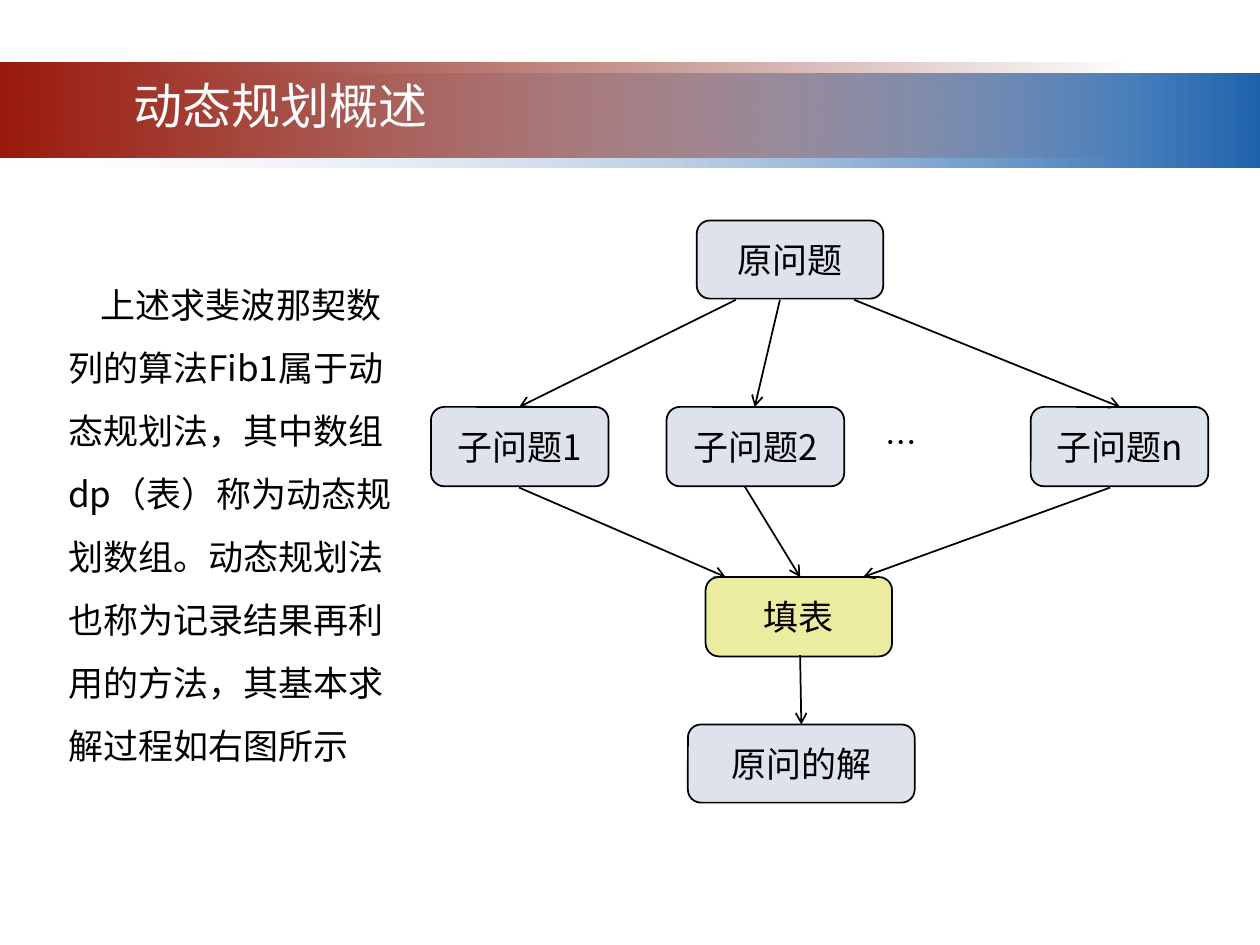
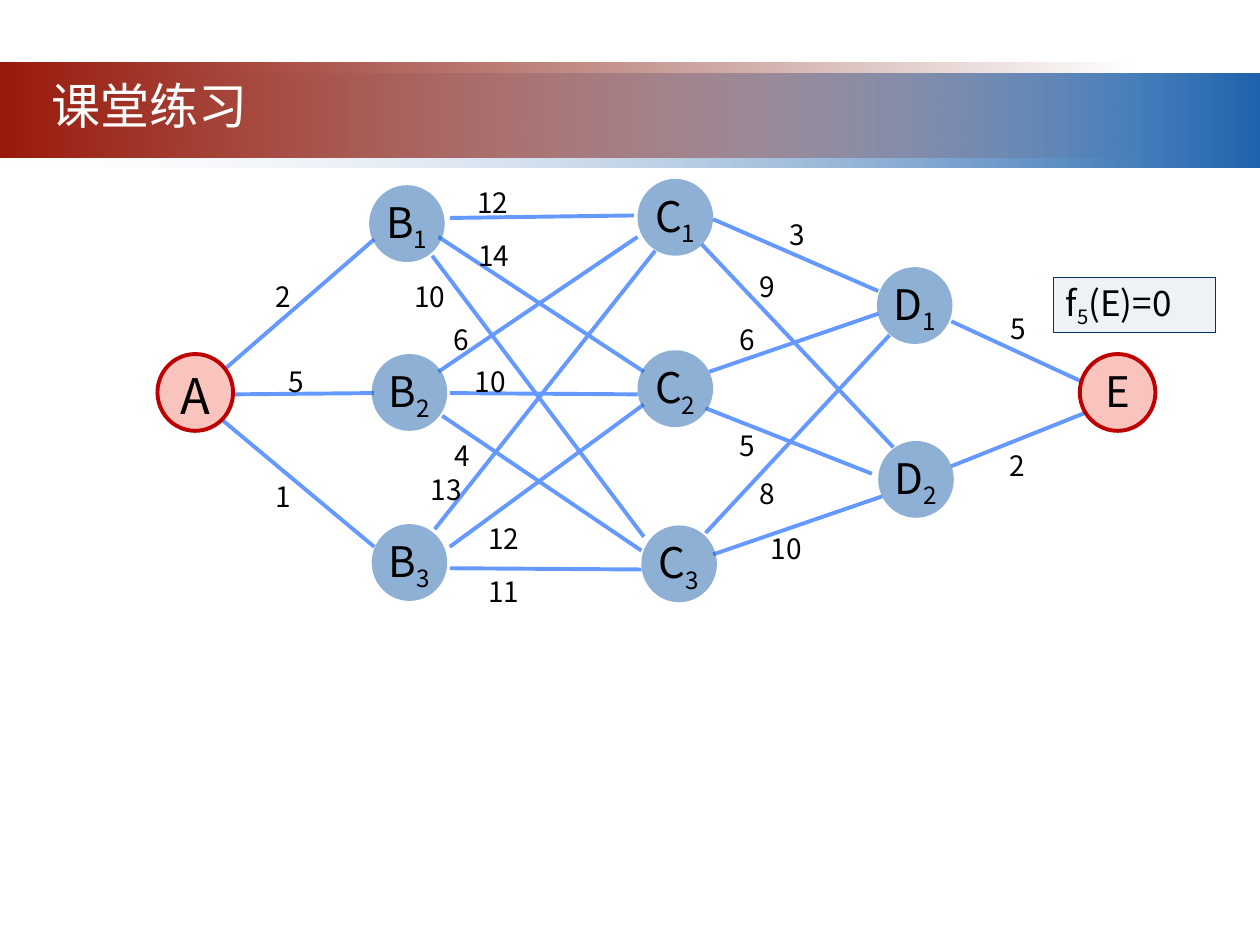
from lxml import etree
from pptx import Presentation
from pptx import util as u
from pptx.dml.color import RGBColor
from pptx.enum import shapes, text
from pptx.oxml.ns import qn

FONT = "Noto Sans CJK SC"
BLACK = RGBColor(0x00, 0x00, 0x00)
WHITE = RGBColor(0xFF, 0xFF, 0xFF)
MIST = RGBColor(0xF1, 0xF2, 0xF7)
BLUE = RGBColor(0x1F, 0x63, 0xAD)
RED = RGBColor(0x99, 0x19, 0x0B)
DARK_RED = RGBColor(0x6D, 0x12, 0x08)
PROBLEM = RGBColor(0xDD, 0xE2, 0xED)
TABLE = RGBColor(0xCC, 0xCC, 0x00)
EDGE = RGBColor(0x66, 0x99, 0xFF)
TERMINAL = RGBColor(0xFA, 0xC4, 0xBE)
TERMINAL_RIM = RGBColor(0xC0, 0x00, 0x00)
FORMULA = RGBColor(0xEE, 0xF1, 0xF6)
FORMULA_RIM = RGBColor(0x00, 0x33, 0x66)

COLUMNS, ROWS = 10, 7.5
LEFT, CENTER = text.PP_ALIGN.LEFT, text.PP_ALIGN.CENTER
TOP, MIDDLE = text.MSO_ANCHOR.TOP, text.MSO_ANCHOR.MIDDLE
BOX = shapes.MSO_SHAPE.ROUNDED_RECTANGLE
CIRCLE = shapes.MSO_SHAPE.OVAL
RECTANGLE = shapes.MSO_SHAPE.RECTANGLE


class Deck:
    def __init__(self):
        self.prs = Presentation()
        self.prs.slide_width = u.Inches(10)
        self.prs.slide_height = u.Inches(7.5)
        self.slide = None

    def x(self, columns):
        return round(self.prs.slide_width * columns / COLUMNS)

    def y(self, rows):
        return round(self.prs.slide_height * rows / ROWS)

    def area(self, left, top, width, height):
        return self.x(left), self.y(top), self.x(width), self.y(height)

    def new_slide(self, layout, title, align):
        self.slide = self.prs.slides.add_slide(self.prs.slide_layouts[layout])
        heading = self.slide.shapes.title
        self.place(heading, (0.31, 0.55, 3.83, 0.57))
        self.set_words(heading, [title], 28, WHITE, align)

    def place(self, holder, area):
        holder.left, holder.top, holder.width, holder.height = self.area(*area)

    def set_words(self, shape, parts, size, color=BLACK, align=CENTER, anchor=TOP, inset=True):
        frame = shape.text_frame
        frame.text = parts[0]
        frame.word_wrap = True
        frame.auto_size = text.MSO_AUTO_SIZE.NONE
        frame.vertical_anchor = anchor
        if not inset:
            frame.margin_left = frame.margin_right = 0
            frame.margin_top = frame.margin_bottom = 0
        paragraph = frame.paragraphs[0]
        paragraph.alignment = align
        paragraph.space_before = u.Pt(0)
        for part in parts[1:]:
            paragraph.add_run().text = part
        for order, run in enumerate(paragraph.runs):
            run.font.size = u.Pt(size)
            run.font.color.rgb = color
            run.font.name = FONT
            properties = run._r.get_or_add_rPr()
            etree.SubElement(properties, qn("a:ea")).set("typeface", FONT)
            if order % 2:
                properties.set("baseline", "-25000")

    def body(self, words, area, first_indent):
        holder = self.slide.placeholders[1]
        self.place(holder, area)
        self.set_words(holder, [words], 20, align=LEFT)
        paragraph = holder.text_frame.paragraphs[0]
        paragraph.line_spacing = 1.5
        properties = paragraph._p.get_or_add_pPr()
        properties.set("marL", "0")
        properties.set("indent", str(self.x(first_indent)))
        etree.SubElement(properties, qn("a:buNone"))

    def label(self, words, area, size, **style):
        box = self.slide.shapes.add_textbox(*self.area(*area))
        self.set_words(box, [words], size, **style)

    def opacity(self, color_element, percent):
        etree.SubElement(color_element, qn("a:alpha")).set("val", str(percent * 1000))

    def shape(self, kind, area, fill, rim=None, weight=1, alpha=100):
        figure = self.slide.shapes.add_shape(kind, *self.area(*area))
        figure.shadow.inherit = False
        figure.fill.solid()
        figure.fill.fore_color.rgb = fill
        if alpha < 100:
            self.opacity(next(figure.element.iter(qn("a:srgbClr"))), alpha)
        if rim is None:
            figure.line.fill.background()
        else:
            figure.line.color.rgb = rim
            figure.line.width = u.Pt(weight)
        return figure

    def master_band(self, order, area, colors, clear_end):
        band = self.shape(RECTANGLE, area, colors[0])
        band.fill.gradient()
        band.fill.gradient_angle = 0
        for stop, color in zip(band.fill.gradient_stops, colors):
            stop.color.rgb = color
        self.opacity(list(band.element.iter(qn("a:srgbClr")))[clear_end], 0)
        self.prs.slide_master.shapes.element.insert(2 + order, band.element)

    def line(self, start, end, color, weight, arrow=False):
        link = self.slide.shapes.add_connector(
            shapes.MSO_CONNECTOR.STRAIGHT,
            self.x(start[0]), self.y(start[1]), self.x(end[0]), self.y(end[1]))
        link.line.color.rgb = color
        link.line.width = u.Pt(weight)
        if arrow:
            outline = next(link.element.iter(qn("a:ln")))
            etree.SubElement(outline, qn("a:tailEnd")).set("type", "arrow")
        etree.SubElement(link.element.spPr, qn("a:effectLst"))

    def step(self, words, area, fill=PROBLEM, alpha=100):
        box = self.shape(BOX, area, fill, BLACK, alpha=alpha)
        self.set_words(box, [words], 20, anchor=MIDDLE)

    def node(self, name, left, top, size=24, terminal=False):
        area = (left, top, 0.6, 0.61)
        if terminal:
            circle = self.shape(CIRCLE, area, TERMINAL, TERMINAL_RIM, 2.25)
        else:
            circle = self.shape(CIRCLE, area, BLUE, alpha=50)
        self.set_words(circle, name, size, inset=False)


def overview(deck):
    deck.new_slide(1, "动态规划概述", CENTER)
    deck.master_band(0, (0, 0.58, 10, 0.75), (MIST, BLUE), 0)
    deck.master_band(1, (0, 0.5, 9, 0.75), (RED, DARK_RED), 1)
    deck.body("上述求斐波那契数列的算法Fib1属于动态规划法，其中数组dp（表）称为动态规划数组。"
              "动态规划法也称为记录结果再利用的方法，其基本求解过程如右图所示",
              (0.44, 2.03, 2.87, 4.06), 0.26)

    deck.step("原问题", (5.53, 1.75, 1.48, 0.62))
    for suffix, left in (("1", 3.42), ("2", 5.29), ("n", 8.18)):
        deck.step("子问题" + suffix, (left, 3.23, 1.41, 0.63))
    deck.label("…", (6.93, 3.31, 1.09, 0.4), 18, align=LEFT)
    deck.step("填表", (5.6, 4.58, 1.48, 0.63), TABLE, 37)
    deck.step("原问的解", (5.46, 5.75, 1.8, 0.62))

    divide = [((5.84, 2.38), (4.12, 3.23)), ((6.19, 2.38), (5.99, 3.23)),
              ((6.78, 2.38), (8.89, 3.23))]
    record = [((4.12, 3.87), (5.76, 4.58)), ((5.91, 3.86), (6.35, 4.58)),
              ((8.81, 3.87), (6.85, 4.58))]
    solve = [((6.35, 5.2), (6.36, 5.75))]
    for start, end in divide + record + solve:
        deck.line(start, end, BLACK, 1, arrow=True)


def exercise(deck):
    deck.new_slide(5, "课堂练习", LEFT)
    roads = [
        ((1.76, 2.95), (2.97, 1.9), "2", (2.09, 2.22)),
        ((1.85, 3.13), (2.97, 3.12), "5", (2.19, 2.89)),
        ((1.76, 3.33), (2.97, 4.34), "1", (2.09, 3.81)),
        ((3.57, 1.73), (5.03, 1.71), "12", (3.75, 1.47)),
        ((3.48, 1.88), (5.11, 2.95), "14", (3.76, 1.89)),
        ((3.43, 2.03), (5.11, 4.26), "10", (3.25, 2.22)),
        ((3.48, 2.95), (5.06, 1.88), "6", (3.5, 2.56)),
        ((3.57, 3.12), (5.06, 3.13), "10", (3.73, 2.89)),
        ((3.51, 3.3), (5.09, 4.37), "4", (3.51, 3.48)),
        ((3.45, 4.2), (5.2, 1.99), "13", (3.38, 3.75)),
        ((3.57, 4.34), (5.11, 3.21), "12", (3.84, 4.14)),
        ((3.57, 4.51), (5.09, 4.52), "11", (3.84, 4.56)),
        ((5.66, 1.74), (6.97, 2.31), "3", (6.17, 1.73)),
        ((5.57, 1.94), (7.09, 3.55), "9", (5.93, 2.14)),
        ((5.63, 2.95), (6.97, 2.49), "6", (5.77, 2.56)),
        ((5.6, 3.24), (6.92, 3.76), "5", (5.77, 3.4)),
        ((5.6, 4.23), (7.06, 2.66), "8", (5.93, 3.78)),
        ((5.66, 4.4), (7, 3.94), "10", (6.08, 4.22)),
        ((7.55, 2.55), (8.61, 3.04), "5", (7.92, 2.47)),
        ((7.55, 3.7), (8.63, 3.27), "2", (7.91, 3.56)),
    ]
    for start, end, cost, corner in roads:
        deck.line(start, end, EDGE, 2.25)
        deck.label(cost, (*corner, 0.32, 0.33), 16, inset=False)

    stages = {
        "B": [(2.93, 1.47), (2.95, 2.81), (2.95, 4.16)],
        "C": [(5.06, 1.42), (5.06, 2.78), (5.09, 4.17)],
        "D": [(6.96, 2.12), (6.97, 3.5)],
    }
    for stage, corners in stages.items():
        for number, corner in enumerate(corners, 1):
            deck.node([stage, str(number)], *corner)
    deck.node(["A"], 1.25, 2.81, 28, terminal=True)
    deck.node(["E"], 8.57, 2.81, terminal=True)

    boundary = deck.shape(RECTANGLE, (8.36, 2.2, 1.29, 0.44), FORMULA, FORMULA_RIM, 0.75)
    deck.set_words(boundary, ["f", "5", "(E)=0"], 20, align=LEFT, anchor=MIDDLE)


def main():
    deck = Deck()
    overview(deck)
    exercise(deck)
    deck.prs.save("out.pptx")


if __name__ == "__main__":
    main()
